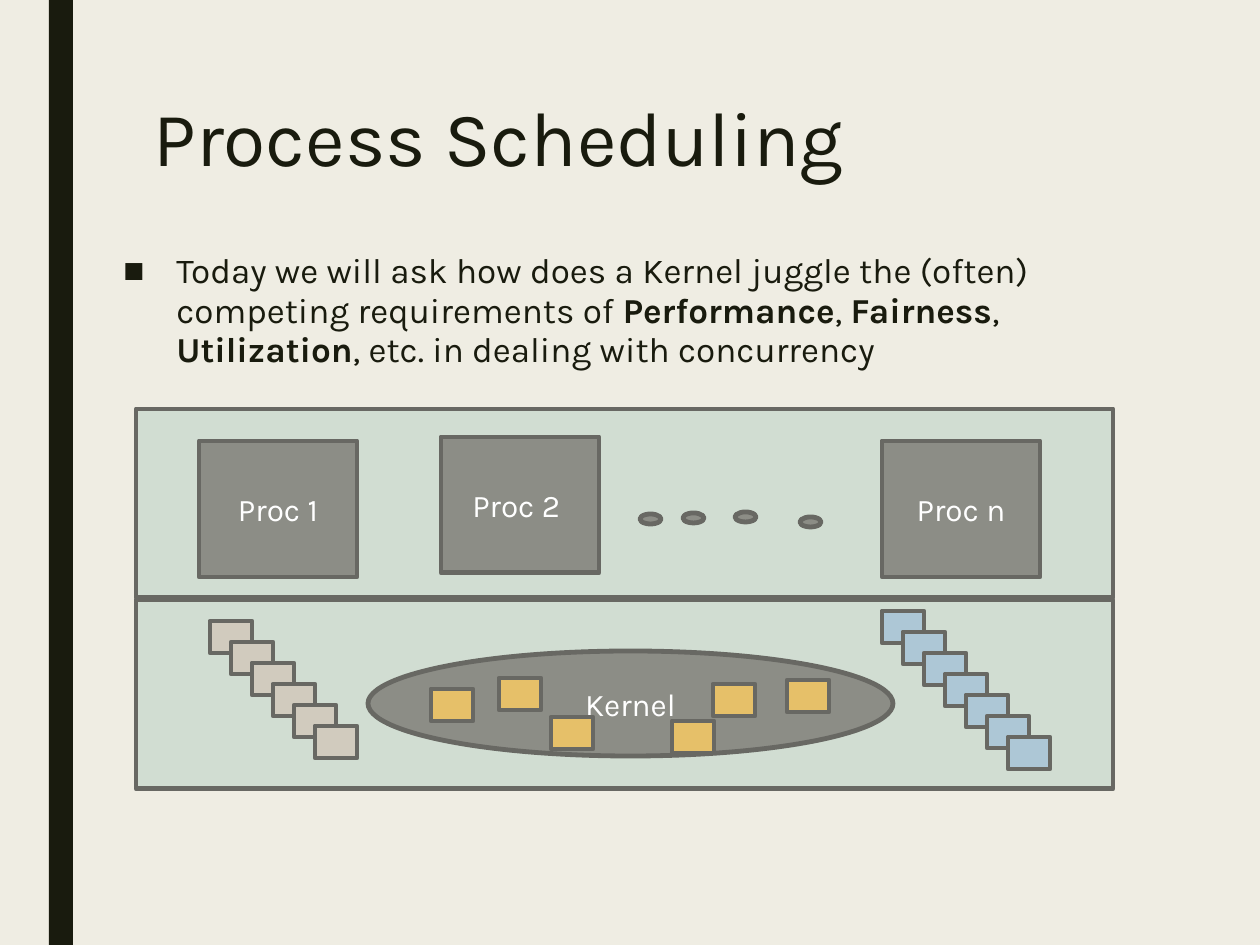
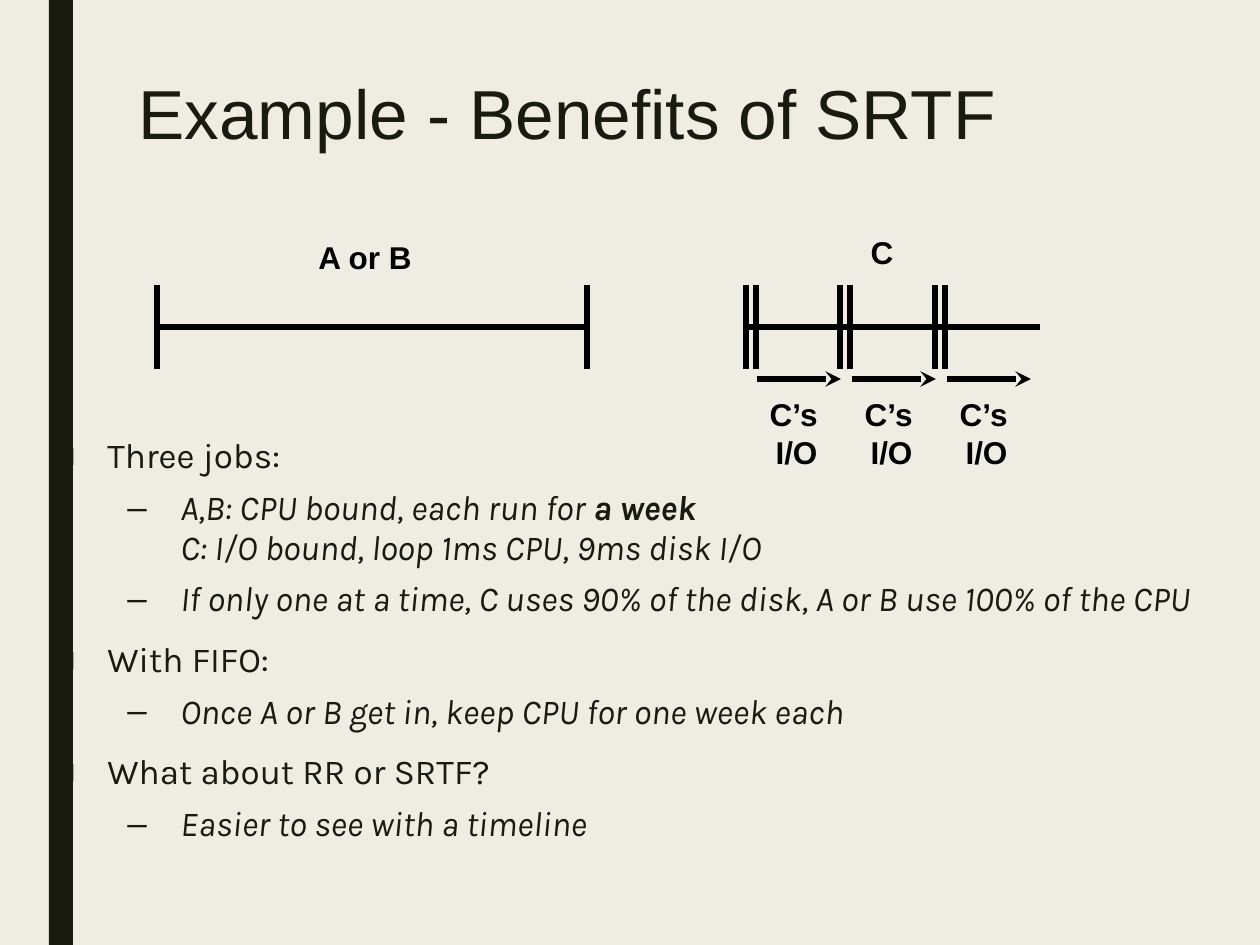
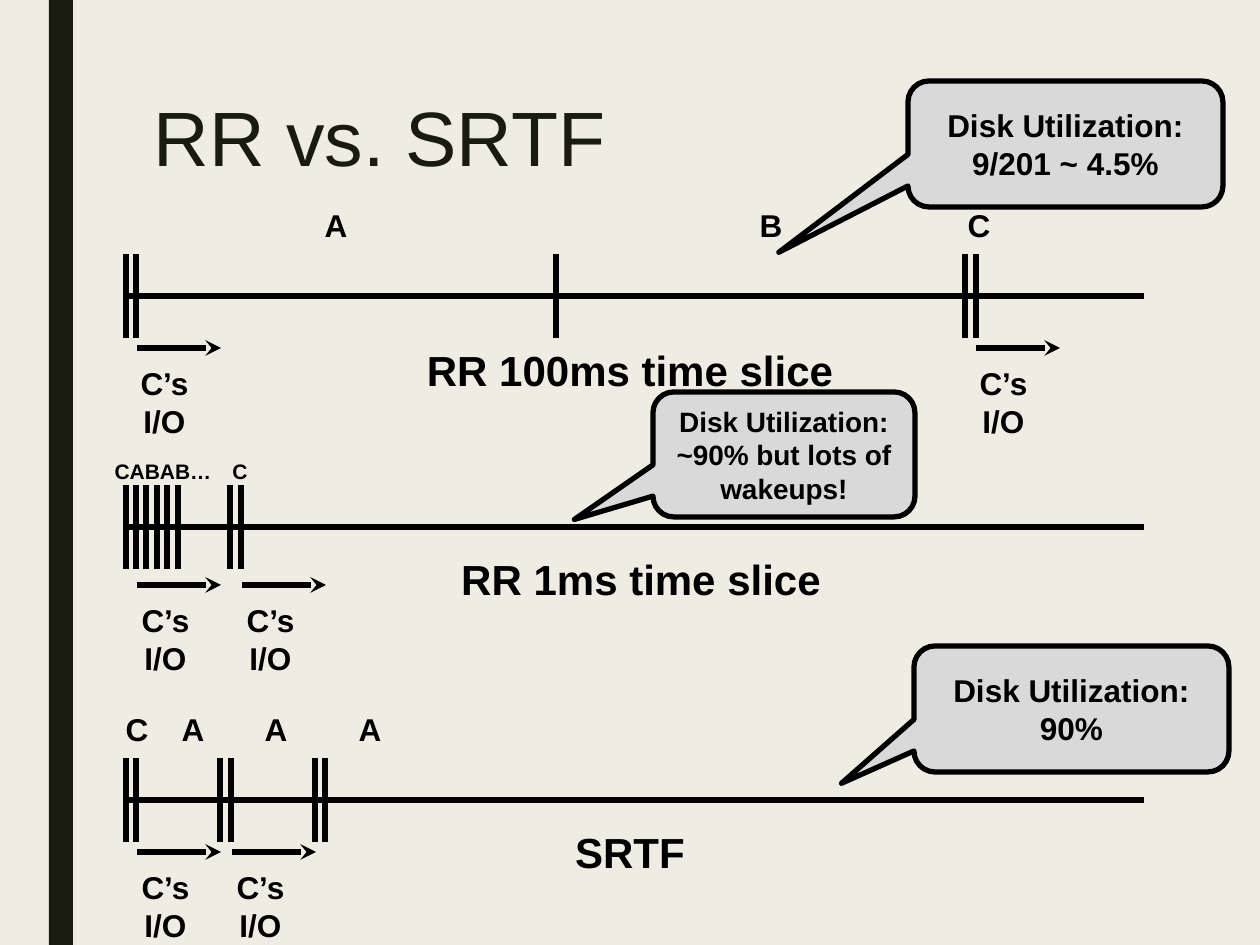
"""Build three slides on process scheduling."""
from lxml import etree
from pptx import Presentation
from pptx.dml.color import RGBColor
from pptx.enum.shapes import MSO_CONNECTOR, MSO_SHAPE
from pptx.enum.text import MSO_ANCHOR, MSO_AUTO_SIZE, PP_ALIGN
from pptx.oxml.ns import qn
from pptx.util import Emu, Pt

RECTANGLE, ELLIPSE = MSO_SHAPE.RECTANGLE, MSO_SHAPE.OVAL
CALLOUT = MSO_SHAPE.ROUNDED_RECTANGULAR_CALLOUT
STRAIGHT = MSO_CONNECTOR.STRAIGHT
TOP, MIDDLE = MSO_ANCHOR.TOP, MSO_ANCHOR.MIDDLE
LEFT, CENTER, RIGHT = PP_ALIGN.LEFT, PP_ALIGN.CENTER, PP_ALIGN.RIGHT
NO_FIT = MSO_AUTO_SIZE.NONE

COLORS = {
    "background": "EFEDE3", "ink": "191B0E", "black": "000000", "white": "FFFFFF",
    "space": "D1DDD2", "process": "8C8D86", "outline": "686863",
    "kernel job": "E6C069", "tan job": "D1CBBE", "blue job": "ADC7D6",
    "callout": "D9D9D9",
}
BODY_FONT, DIAGRAM_FONT = "Karla", "Arial"
EMU_PER_PX = 914400 / 126
SLIDE_WIDTH, SLIDE_HEIGHT = 1260, 945
BAR = (49, 0, 24, SLIDE_HEIGHT)

TITLES = [
    ("Process Scheduling", (141, 94, 993, 131), 44, BODY_FONT),
    ("Example - Benefits of SRTF", (126, 74, 1260, 73), 39.6, DIAGRAM_FONT),
    ("RR vs. SRTF", (141, 94, 993, 204), 44, DIAGRAM_FONT),
]

BULLETS = {0: ("■", 53, 10, False), 1: ("–", 126, 5, True)}
HANGING = 53
INTRO_BOX = (111, 246, 1048, 193)
INTRO = [
    (0, [("Today we will ask how does a Kernel juggle the (often) competing "
          "requirements of ", False), ("Performance", True), (", ", False),
         ("Fairness", True), (", ", False), ("Utilization", True),
         (", etc. in dealing with concurrency", False)]),
]
JOBS_BOX = (42, 431, 1187, 483)
JOBS = [
    (0, [("Three jobs:", False)]),
    (1, [("A,B: CPU bound, each run for ", False), ("a week", True), ("\n", False),
         ("C: I/O bound, loop 1ms CPU, 9ms disk I/O", False)]),
    (1, [("If only one at a time, C uses 90% of the disk, "
          "A or B use 100% of the CPU", False)]),
    (0, [("With FIFO:", False)]),
    (1, [("Once A or B get in, keep CPU for one week each", False)]),
    (0, [("What about RR or SRTF?", False)]),
    (1, [("Easier to see with a timeline", False)]),
]

USER_SPACE, KERNEL_SPACE = (136, 409, 977, 189), (136, 600, 977, 189)
PROCESSES = [("Proc 1", 199, 441), ("Proc 2 ", 441, 437), ("Proc n", 882, 441)]
PROCESS_SIZE = (158, 136)
DOTS = [(640, 514), (683, 513), (735, 512), (800, 517)]
DOT_SIZE = (21, 10)
KERNEL = (368, 651, 525, 105)
KERNEL_JOBS = [(431, 689), (499, 678), (787, 680), (713, 684), (672, 721), (551, 717)]
JOB_SIZE = (42, 32)
JOB_STEP = 21
JOB_QUEUES = [("tan job", 210, 621, 6), ("blue job", 882, 611, 7)]

TICK_REACH = 42
IO_LENGTH = 84
IO_LABEL_SIZE = (77, 83)
IO_LABEL = ["C’s ", "I/O"]
BENEFIT_TIMELINES = [
    {"axis": (746, 1040, 327), "ticks": [746, 756, 840, 850, 935, 945],
     "transfers": [757, 852, 947], "transfer drop": 52, "label shift": -4,
     "align": RIGHT, "labels": [("C", 882, 227, 48, 18)]},
    {"axis": (157, 588, 327), "ticks": [157, 587], "transfers": [],
     "labels": [("A or B", 365, 232, 120, 18)]},
]
SCHEDULE_TIMELINES = [
    {"axis": (126, 1144, 296), "ticks": [126, 136, 556, 965, 976],
     "transfers": [137, 976], "transfer drop": 52, "label shift": -11, "align": CENTER,
     "labels": [("A", 336, 200, 48, 18), ("B", 771, 200, 48, 18),
                ("C", 979, 200, 48, 18), ("RR 100ms time slice", 630, 338, 436, 24)]},
    {"axis": (126, 1144, 527), "ticks": [126, 136, 146, 157, 167, 178, 230, 241],
     "transfers": [137, 242], "transfer drop": 58, "label shift": -10, "align": CENTER,
     "labels": [("CABAB…", 163, 452, 123, 12), ("C", 240, 452, 42, 12),
                ("RR 1ms time slice", 641, 547, 388, 24)]},
    {"axis": (126, 1144, 800), "ticks": [126, 136, 220, 231, 315, 325],
     "transfers": [137, 232], "transfer drop": 52, "label shift": -10, "align": CENTER,
     "labels": [("C", 137, 704, 48, 18), ("A", 193, 704, 48, 18),
                ("A", 276, 704, 48, 18), ("A", 370, 704, 48, 18),
                ("SRTF", 630, 820, 136, 24)]},
]
CALLOUTS = [
    ((653, 392, 262, 125), (-0.8, 0.52), 16, "~90% but lots of wakeups!"),
    ((914, 646, 315, 126), (-0.73, 0.59), 18, "90%"),
    ((908, 81, 315, 126), (-0.91, 0.86), 18, "9/201 ~ 4.5%"),
]


def px(*lengths):
    return [Emu(round(length * EMU_PER_PX)) for length in lengths]


def color(name):
    return RGBColor.from_string(COLORS[name])


def style_run(run, size, font, ink, bold=False, italic=False):
    run.font.size, run.font.name = Pt(size), font
    run.font.bold, run.font.italic = bold, italic
    run.font.color.rgb = color(ink)


def write_lines(text_frame, lines, size, font, ink, align, bold=False):
    text_frame.text = "\n".join(lines)
    for paragraph in text_frame.paragraphs:
        paragraph.alignment = align
        for run in paragraph.runs:
            style_run(run, size, font, ink, bold)


def add_box(slide, kind, box, fill, outline=None, width=2.75):
    shape = slide.shapes.add_shape(kind, *px(*box))
    shape.shadow.inherit = False
    shape.fill.solid()
    shape.fill.fore_color.rgb = color(fill)
    if outline:
        shape.line.color.rgb = color(outline)
        shape.line.width = Pt(width)
    else:
        shape.line.fill.background()
    shape.text_frame.vertical_anchor = MIDDLE
    return shape


def add_line(slide, start, end, arrow=False):
    connector = slide.shapes.add_connector(STRAIGHT, *px(*start, *end))
    connector.line.color.rgb = color("black")
    connector.line.width = Pt(3)
    properties = connector._element.spPr
    if arrow:
        etree.SubElement(properties.find(qn("a:ln")), qn("a:tailEnd"), type="stealth")
    etree.SubElement(properties, qn("a:effectLst"))


def add_label(slide, lines, box, size, align):
    text_frame = slide.shapes.add_textbox(*px(*box)).text_frame
    text_frame.word_wrap = False
    write_lines(text_frame, lines, size, DIAGRAM_FONT, "black", align, bold=True)


def add_bullets(slide, box, items):
    text_frame = slide.shapes.add_textbox(*px(*box)).text_frame
    text_frame.word_wrap = True
    for index, (level, parts) in enumerate(items):
        paragraph = text_frame.add_paragraph() if index else text_frame.paragraphs[0]
        mark, margin, space_before, italic = BULLETS[level]
        paragraph.level = level
        paragraph.line_spacing = 0.94
        paragraph.space_before, paragraph.space_after = Pt(space_before), Pt(2)
        properties = paragraph._p.get_or_add_pPr()
        margin_emu, indent_emu = px(margin, -HANGING)
        properties.set("marL", str(margin_emu))
        properties.set("indent", str(indent_emu))
        etree.SubElement(properties, qn("a:buFont"), typeface=DIAGRAM_FONT)
        etree.SubElement(properties, qn("a:buChar"), char=mark)
        for text, bold in parts:
            if text == "\n":
                paragraph.add_line_break()
                continue
            run = paragraph.add_run()
            run.text = text
            style_run(run, 20, BODY_FONT, "ink", bold, italic)


def add_slide(presentation, text, box, size, font):
    slide = presentation.slides.add_slide(presentation.slide_layouts[5])
    add_box(slide, RECTANGLE, BAR, "ink")
    title = slide.shapes.title
    title.left, title.top, title.width, title.height = px(*box)
    text_frame = title.text_frame
    text_frame.auto_size, text_frame.word_wrap = NO_FIT, True
    text_frame.vertical_anchor = TOP
    write_lines(text_frame, [text], size, font, "ink", LEFT)
    text_frame.paragraphs[0].line_spacing = 0.89
    return slide


def add_timeline(slide, timeline):
    start, end, axis_y = timeline["axis"]
    add_line(slide, (start, axis_y), (end, axis_y))
    for x in timeline["ticks"]:
        add_line(slide, (x, axis_y - TICK_REACH), (x, axis_y + TICK_REACH))
    for x in timeline["transfers"]:
        y = axis_y + timeline["transfer drop"]
        add_line(slide, (x, y), (x + IO_LENGTH, y), arrow=True)
        label_box = (x + timeline["label shift"], y + 10, *IO_LABEL_SIZE)
        add_label(slide, IO_LABEL, label_box, 18, timeline["align"])
    for text, center, top, width, size in timeline["labels"]:
        label_box = (center - width / 2, top, width, size * 2.5)
        add_label(slide, [text], label_box, size, CENTER)


def add_named_box(slide, kind, box, name):
    shape = add_box(slide, kind, box, "process", "outline")
    write_lines(shape.text_frame, [name], 18, BODY_FONT, "white", CENTER)


def draw_system(slide):
    add_bullets(slide, INTRO_BOX, INTRO)
    for space in (USER_SPACE, KERNEL_SPACE):
        add_box(slide, RECTANGLE, space, "space", "outline")
    for name, left, top in PROCESSES:
        add_named_box(slide, RECTANGLE, (left, top, *PROCESS_SIZE), name)
    for dot in DOTS:
        add_box(slide, ELLIPSE, (*dot, *DOT_SIZE), "process", "outline")
    add_named_box(slide, ELLIPSE, KERNEL, "Kernel")
    for job in KERNEL_JOBS:
        add_box(slide, RECTANGLE, (*job, *JOB_SIZE), "kernel job", "outline")
    for fill, left, top, count in JOB_QUEUES:
        for offset in range(0, count * JOB_STEP, JOB_STEP):
            job_box = (left + offset, top + offset, *JOB_SIZE)
            add_box(slide, RECTANGLE, job_box, fill, "outline")


def draw_benefits(slide):
    add_bullets(slide, JOBS_BOX, JOBS)
    for timeline in BENEFIT_TIMELINES:
        add_timeline(slide, timeline)


def draw_schedules(slide):
    for timeline in SCHEDULE_TIMELINES:
        add_timeline(slide, timeline)
    for box, pointer, size, utilization in CALLOUTS:
        callout = add_box(slide, CALLOUT, box, "callout", "black", 3)
        callout.adjustments[0], callout.adjustments[1] = pointer
        callout.text_frame.word_wrap = True
        write_lines(callout.text_frame, ["Disk Utilization:", utilization], size,
                    DIAGRAM_FONT, "black", CENTER, bold=True)


def main():
    presentation = Presentation()
    presentation.slide_width, presentation.slide_height = px(SLIDE_WIDTH, SLIDE_HEIGHT)
    background = presentation.slide_master.background.fill
    background.solid()
    background.fore_color.rgb = color("background")
    for title, draw in zip(TITLES, (draw_system, draw_benefits, draw_schedules)):
        draw(add_slide(presentation, *title))
    presentation.save("out.pptx")


if __name__ == "__main__":
    main()
